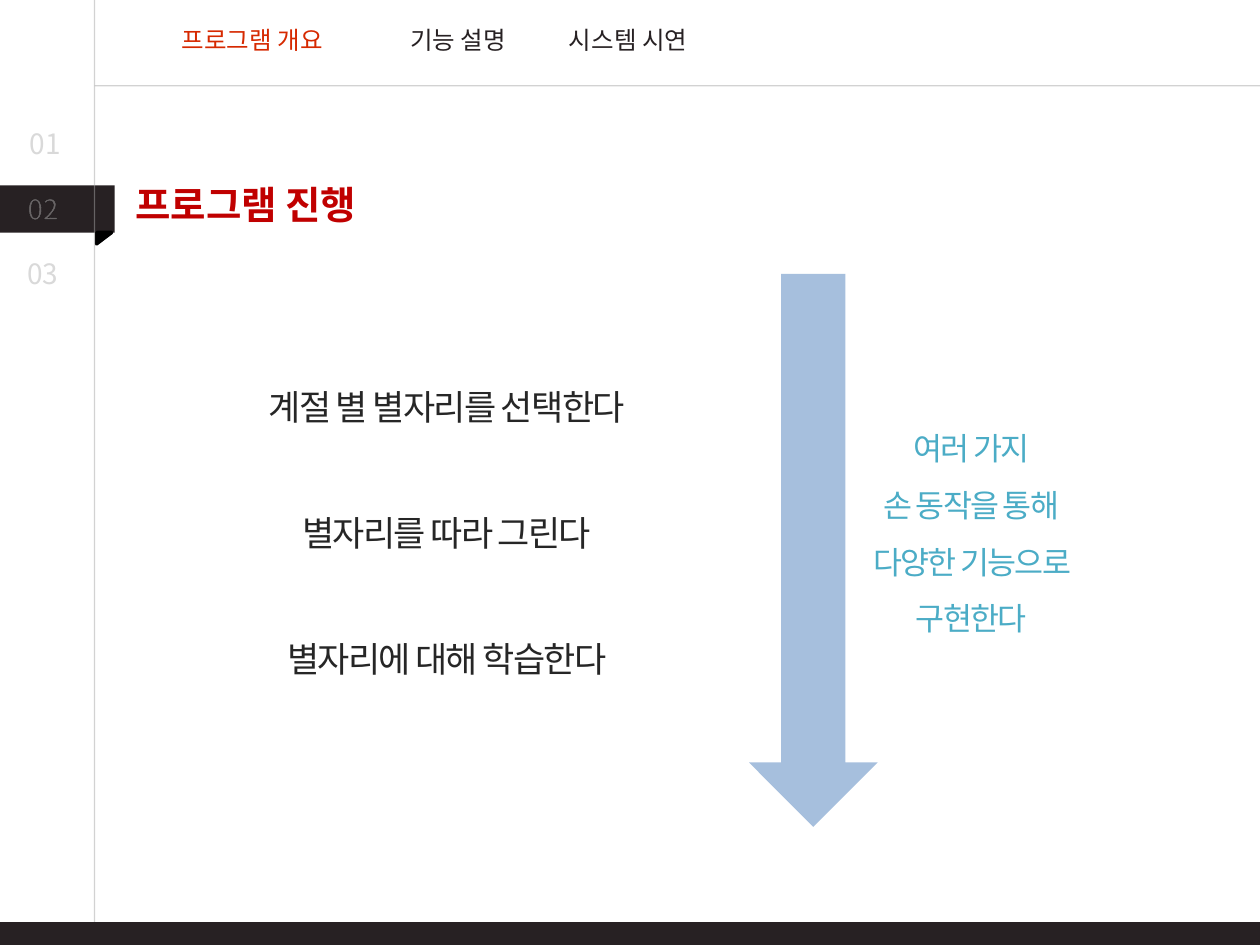
from dataclasses import dataclass

from lxml.etree import SubElement
from pptx import Presentation
from pptx.dml.color import RGBColor as RGB
from pptx.enum.shapes import MSO_CONNECTOR as Connector, MSO_SHAPE as Shape
from pptx.enum.text import MSO_ANCHOR as Anchor, MSO_AUTO_SIZE as AutoSize, PP_ALIGN as Align
from pptx.oxml import parse_xml
from pptx.oxml.ns import nsdecls, qn
from pptx.util import Pt


@dataclass(frozen=True)
class Theme:
    font: str = "Noto Sans CJK KR"
    dark: str = "272123"
    black: str = "000000"
    white: str = "FFFFFF"
    muted: str = "D9D9D9"
    rule: str = "A6A6A6"
    title: str = "C00000"
    title_edge: str = "7AB53D"
    active: str = "D62900"
    step: str = "262626"
    remark: str = "4BACC6"
    arrow: str = "4F81BD"
    nav_size: int = 14
    number_size: int = 16
    remark_size: int = 18
    step_size: int = 20
    title_size: int = 22
    single: float = 1.2
    loose: float = 1.8


THEME = Theme()
WIDTH, HEIGHT = 720, 540
SIDEBAR = 54


def set_alpha(fill_owner, percent):
    color = next(fill_owner.iter(qn("a:srgbClr")))
    SubElement(color, qn("a:alpha")).set("val", str(percent * 1000))


def style_paragraph(paragraph, size, color, align=Align.CENTER, leading=THEME.single,
                    bold=False, tracking=0, edge=None):
    """Format a paragraph; edge is the colour of a faint letter outline."""
    paragraph.alignment = align
    paragraph.line_spacing = Pt(size * leading)
    paragraph.space_before = Pt(0)
    font = paragraph.font
    font.name, font.size, font.bold = THEME.font, Pt(size), bold
    font.color.rgb = RGB.from_string(color)
    properties = paragraph._p.pPr.find(qn("a:defRPr"))
    SubElement(properties, qn("a:ea")).set("typeface", THEME.font)
    if tracking:
        properties.set("spc", str(tracking * 100))
    if edge:
        outline = parse_xml(
            f'<a:ln {nsdecls("a")} w="9525"><a:solidFill><a:srgbClr val="{edge}"/>'
            '</a:solidFill></a:ln>')
        set_alpha(outline, 30)
        properties.insert(0, outline)


def write_lines(holder, box, lines, size, color, **style):
    holder.left, holder.top, holder.width, holder.height = map(Pt, box)
    frame = holder.text_frame
    frame.word_wrap = True
    frame.auto_size = AutoSize.NONE
    frame.vertical_anchor = Anchor.TOP
    frame.text = "\n".join(lines)
    for paragraph in frame.paragraphs:
        style_paragraph(paragraph, size, color, **style)


def add_label(slide, box, lines, size, color, **style):
    label = slide.shapes.add_textbox(*map(Pt, box))
    write_lines(label, box, lines, size, color, **style)


def add_solid(slide, kind, box, color):
    solid = slide.shapes.add_shape(kind, *map(Pt, box))
    solid.shadow.inherit = False
    solid.fill.solid()
    solid.fill.fore_color.rgb = RGB.from_string(color)
    solid.line.fill.background()
    return solid


def add_rule(slide, *ends):
    rule = slide.shapes.add_connector(Connector.STRAIGHT, *map(Pt, ends))
    rule.line.color.rgb = RGB.from_string(THEME.rule)
    rule.line.width = Pt(0.75)
    properties = rule._element.spPr
    set_alpha(properties, 50)
    SubElement(properties, qn("a:effectLst"))


def add_marker(slide):
    """Dark ribbon with a folded corner behind the current section number."""
    add_solid(slide, Shape.RECTANGLE, (0, 106, 65.5, 27), THEME.dark)
    fold = add_solid(slide, Shape.RIGHT_TRIANGLE, (56.2, 131.8, 6.5, 8.6), THEME.black)
    fold.rotation = 90
    fold.line.color.rgb = RGB.from_string(THEME.black)
    fold.line.width = Pt(2)


def add_numbers(slide, current):
    for index, left in enumerate((10, 8.6, 8.6)):
        color = THEME.white if index == current else THEME.muted
        add_label(slide, (left, 69 + 37 * index, 40, 27), [f"{index + 1:02}"],
                  THEME.number_size, color, align=Align.LEFT, edge=THEME.black)


def add_navigation(slide, current):
    tabs = (("프로그램 개요", 82, 124.5), ("기능 설명", 214.5, 94.5), ("시스템 시연", 313, 92))
    for index, (name, left, width) in enumerate(tabs):
        color = THEME.active if index == current else THEME.dark
        add_label(slide, (left, 10.8, width, 24.5), [name], THEME.nav_size, color,
                  edge=THEME.black)


def fill_steps(body):
    steps = ("계절 별 별자리를 선택한다", "별자리를 따라 그린다", "별자리에 대해 학습한다")
    write_lines(body, (127.5, 204.5, 255.5, 189.5), steps, THEME.step_size, THEME.step,
                leading=THEME.loose, tracking=-1)
    for index, paragraph in enumerate(body.text_frame.paragraphs):
        properties = paragraph._p.pPr
        properties.set("marL", "0")
        properties.set("indent", "0")
        properties.find(qn("a:defRPr")).addprevious(
            parse_xml(f'<a:buNone {nsdecls("a")}/>'))
        if index:
            paragraph.space_before = Pt(THEME.step_size * THEME.loose)


def main():
    deck = Presentation()
    deck.slide_width, deck.slide_height = Pt(WIDTH), Pt(HEIGHT)
    slide = deck.slides.add_slide(deck.slide_layouts[1])
    title, body = slide.placeholders

    add_marker(slide)
    arrow = add_solid(slide, Shape.DOWN_ARROW, (428, 156.5, 73.5, 316), THEME.arrow)
    set_alpha(arrow._element.spPr, 50)
    add_rule(slide, SIDEBAR, 0, SIDEBAR, HEIGHT)
    add_rule(slide, SIDEBAR, 49, WIDTH, 49)
    add_solid(slide, Shape.RECTANGLE, (0, 527, WIDTH, 13), THEME.dark)

    add_numbers(slide, current=1)
    add_navigation(slide, current=0)
    write_lines(title, (65.5, 100, 150, 34), ["프로그램 진행"], THEME.title_size,
                THEME.title, bold=True, edge=THEME.title_edge)
    fill_steps(body)
    add_label(slide, (484.5, 231, 141, 138),
              ["여러 가지", "손 동작을 통해", "다양한 기능으로 구현한다"],
              THEME.remark_size, THEME.remark, leading=THEME.loose, tracking=-1)
    deck.save("out.pptx")


if __name__ == "__main__":
    main()
